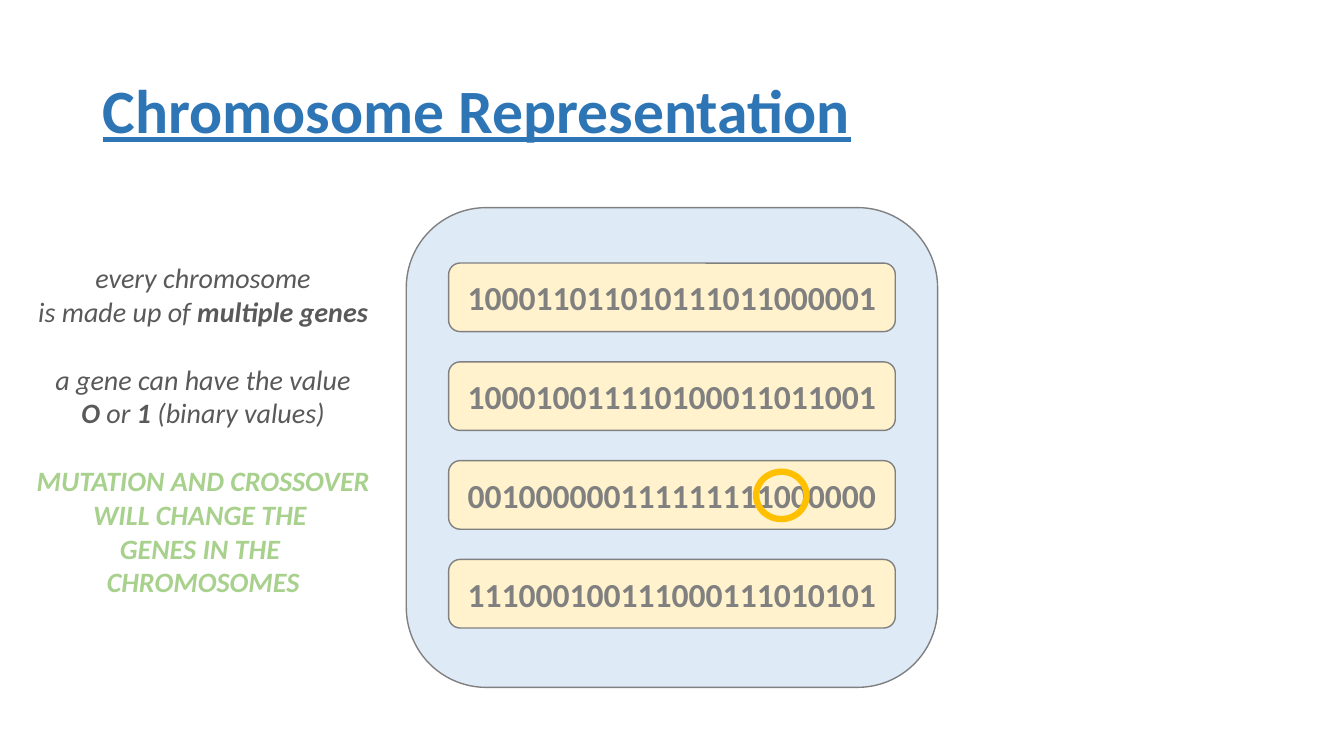
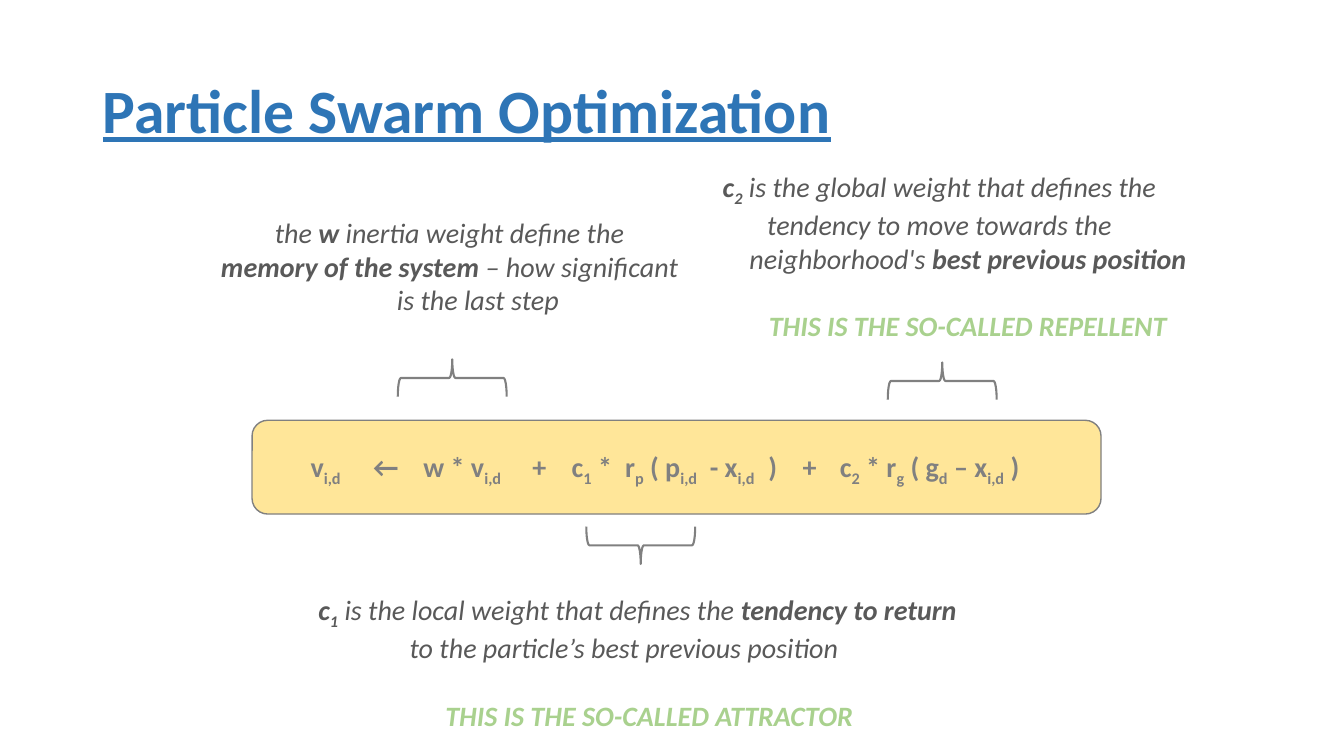
from dataclasses import dataclass

from lxml.etree import SubElement
from pptx import Presentation
from pptx.dml.color import RGBColor
from pptx.enum.shapes import MSO_SHAPE as Preset
from pptx.enum.text import MSO_ANCHOR as Anchor, MSO_AUTO_SIZE as AutoSize, PP_ALIGN as Align
from pptx.oxml.ns import qn
from pptx.shapes.autoshape import Shape
from pptx.slide import Slide
from pptx.util import Inches, Pt

TITLE_BLUE = RGBColor(0x2E, 0x75, 0xB6)
PALE_BLUE = RGBColor(0xDE, 0xEB, 0xF7)
PALE_GOLD = RGBColor(0xFF, 0xF2, 0xCC)
GOLD = RGBColor(0xFF, 0xE6, 0x99)
AMBER = RGBColor(0xFF, 0xC0, 0x00)
GRAY = RGBColor(0x80, 0x80, 0x80)
DARK_GRAY = RGBColor(0x59, 0x59, 0x59)
GREEN = RGBColor(0xA9, 0xD1, 0x8E)

TITLE_FORMAT = {"size": Pt(44), "bold": True, "underline": True}
GENE_FORMAT = {"size": Pt(24), "bold": True}
NOTE_FORMAT = {"size": Pt(20), "italic": True}
FORMULA_FORMAT = {"size": Pt(20), "bold": True}
LINE_GAP = Pt(24.4)


@dataclass(frozen=True)
class Box:
    left: float
    top: float
    width: float
    height: float

    def lengths(self) -> list[int]:
        return [Inches(value) for value in (self.left, self.top, self.width, self.height)]


@dataclass(frozen=True)
class Line:
    """One line of a note; | switches bold and ~ switches subscript."""
    text: str
    color: RGBColor = DARK_GRAY
    gap_before: bool = False
    indent_left: float = 0
    indent_right: float = 0


@dataclass(frozen=True)
class Note:
    box: Box
    lines: tuple[Line, ...]


@dataclass(frozen=True)
class Brace:
    left: float
    top: float
    rotation: int


GENE_STRINGS = (
    "100011011010111011000001",
    "100010011110100011011001",
    "001000000111111111000000",
    "111000100111000111010101",
)
GENE_TOP, GENE_PITCH = 2.61, 0.98

CHROMOSOME_NOTE = Note(Box(0.25, 2.54, 3.53, 3.47), (
    Line("every chromosome"),
    Line("is made up of |multiple genes|"),
    Line("a gene can have the value", gap_before=True),
    Line("|O |or| 1 |(binary values)"),
    Line("|MUTATION AND CROSSOVER|", GREEN, gap_before=True),
    Line("|WILL CHANGE THE |", GREEN),
    Line("|GENES IN THE |", GREEN),
    Line("|CHROMOSOMES|", GREEN),
))

SWARM_NOTES = (
    Note(Box(2.07, 2.09, 4.84, 1.11), (
        Line("the| w| inertia weight define the "),
        Line("|memory of the system |– how significant "),
        Line("is the last step", indent_left=0.5),
    )),
    Note(Box(2.93, 5.83, 6.85, 1.45), (
        Line("|c~1~| is the local weight that defines the |tendency to return |"),
        Line("to the particle’s best previous position", indent_right=0.33),
        Line("|THIS IS THE SO-CALLED ATTRACTOR|", GREEN, gap_before=True, indent_left=0.5),
    )),
    Note(Box(6.82, 1.63, 5.06, 2.12), (
        Line("|c~2~| is the global weight that defines the "),
        Line("tendency to move towards the "),
        Line("neighborhood's |best previous position|", indent_left=0.5),
        Line("|THIS IS THE SO-CALLED REPELLENT|", GREEN, gap_before=True, indent_left=0.5),
    )),
)

FORMULA = ("v~i,d~\t←\tw * v~i,d~\t+\tc~1~ *\tr~p~ ( p~i,d~\t- x~i,d~\t)"
           "\t+\tc~2~ * r~g~ ( g~d~ – x~i,d~ )")
FORMULA_TABS = (0.62, 1.12, 2.2, 2.59, 3.12, 3.96, 4.54, 4.88, 5.25)

BRACES = (Brace(4.3, 3.21, 90), Brace(6.17, 4.87, 270), Brace(9.16, 3.24, 90))


def add_run(paragraph, text: str, color: RGBColor, formats: dict):
    run = paragraph.add_run()
    run.text = text
    run.font.name = "Calibri"
    run.font.color.rgb = color
    for name, value in formats.items():
        setattr(run.font, name, value)
    return run


def add_marked_text(paragraph, text: str, color: RGBColor, formats: dict) -> None:
    """Add runs, switching bold at each | and subscript at each ~."""
    for bold_index, section in enumerate(text.split("|")):
        bold = {"bold": True} if bold_index % 2 else {}
        for index, part in enumerate(section.split("~")):
            if part:
                run = add_run(paragraph, part, color, formats | bold)
                if index % 2:
                    run.font._element.set("baseline", "-25000")


def add_titled_slide(presentation, title: str) -> Slide:
    slide = presentation.slides.add_slide(presentation.slide_layouts[5])
    shape = slide.shapes.title
    shape.left, shape.top, shape.width, shape.height = Box(0.92, 0.4, 11.5, 1.45).lengths()
    frame = shape.text_frame
    frame.auto_size = AutoSize.NONE
    frame.vertical_anchor = Anchor.MIDDLE
    paragraph = frame.paragraphs[0]
    paragraph.alignment = Align.LEFT
    paragraph.line_spacing = 0.9
    add_run(paragraph, title, TITLE_BLUE, TITLE_FORMAT)
    return slide


def add_outlined(slide: Slide, preset: Preset, box: Box, fill: RGBColor | None = None,
                 line: RGBColor = GRAY, weight: float = 1) -> Shape:
    shape = slide.shapes.add_shape(preset, *box.lengths())
    shape.shadow.inherit = False
    if fill is None:
        shape.fill.background()
    else:
        shape.fill.solid()
        shape.fill.fore_color.rgb = fill
    shape.line.color.rgb = line
    shape.line.width = Pt(weight)
    return shape


def add_text_frame(slide: Slide, box: Box):
    frame = slide.shapes.add_textbox(*box.lengths()).text_frame
    frame.word_wrap = True
    frame.margin_left = frame.margin_right = 0
    return frame


def add_note(slide: Slide, note: Note) -> None:
    frame = add_text_frame(slide, note.box)
    for index, line in enumerate(note.lines):
        paragraph = frame.add_paragraph() if index else frame.paragraphs[0]
        paragraph.alignment = Align.CENTER
        if line.gap_before:
            paragraph.space_before = LINE_GAP
        properties = paragraph._p.get_or_add_pPr()
        for name, indent in (("marL", line.indent_left), ("marR", line.indent_right)):
            if indent:
                properties.set(name, str(Inches(indent)))
        add_marked_text(paragraph, line.text, line.color, NOTE_FORMAT)


def add_formula(slide: Slide) -> None:
    paragraph = add_text_frame(slide, Box(3.08, 4.41, 7.49, 0.44)).paragraphs[0]
    tab_list = SubElement(paragraph._p.get_or_add_pPr(), qn("a:tabLst"))
    for position in FORMULA_TABS:
        SubElement(tab_list, qn("a:tab"), pos=str(Inches(position)), algn="l")
    add_marked_text(paragraph, FORMULA, GRAY, FORMULA_FORMAT)


def build_chromosome_slide(presentation) -> None:
    slide = add_titled_slide(presentation, "Chromosome Representation")
    add_outlined(slide, Preset.ROUNDED_RECTANGLE, Box(4.03, 2.06, 5.27, 4.76), PALE_BLUE)
    for row, genes in enumerate(GENE_STRINGS):
        box = Box(4.45, GENE_TOP + row * GENE_PITCH, 4.43, 0.68)
        frame = add_outlined(slide, Preset.ROUNDED_RECTANGLE, box, PALE_GOLD).text_frame
        frame.vertical_anchor = Anchor.MIDDLE
        frame.paragraphs[0].alignment = Align.CENTER
        add_run(frame.paragraphs[0], genes, GRAY, GENE_FORMAT)
    add_outlined(slide, Preset.OVAL, Box(7.5, 4.68, 0.5, 0.47), line=AMBER, weight=4.5)
    add_note(slide, CHROMOSOME_NOTE)


def build_swarm_slide(presentation) -> None:
    slide = add_titled_slide(presentation, "Particle Swarm Optimization")
    add_outlined(slide, Preset.ROUNDED_RECTANGLE, Box(2.5, 4.17, 8.42, 0.93), GOLD)
    add_formula(slide)
    for note in SWARM_NOTES:
        add_note(slide, note)
    for brace in BRACES:
        box = Box(brace.left, brace.top, 0.37, 1.08)
        add_outlined(slide, Preset.LEFT_BRACE, box, weight=1.5).rotation = brace.rotation


def main() -> None:
    presentation = Presentation()
    presentation.slide_width = Inches(13.33)
    presentation.slide_height = Inches(7.5)
    build_chromosome_slide(presentation)
    build_swarm_slide(presentation)
    presentation.save("out.pptx")


if __name__ == "__main__":
    main()
